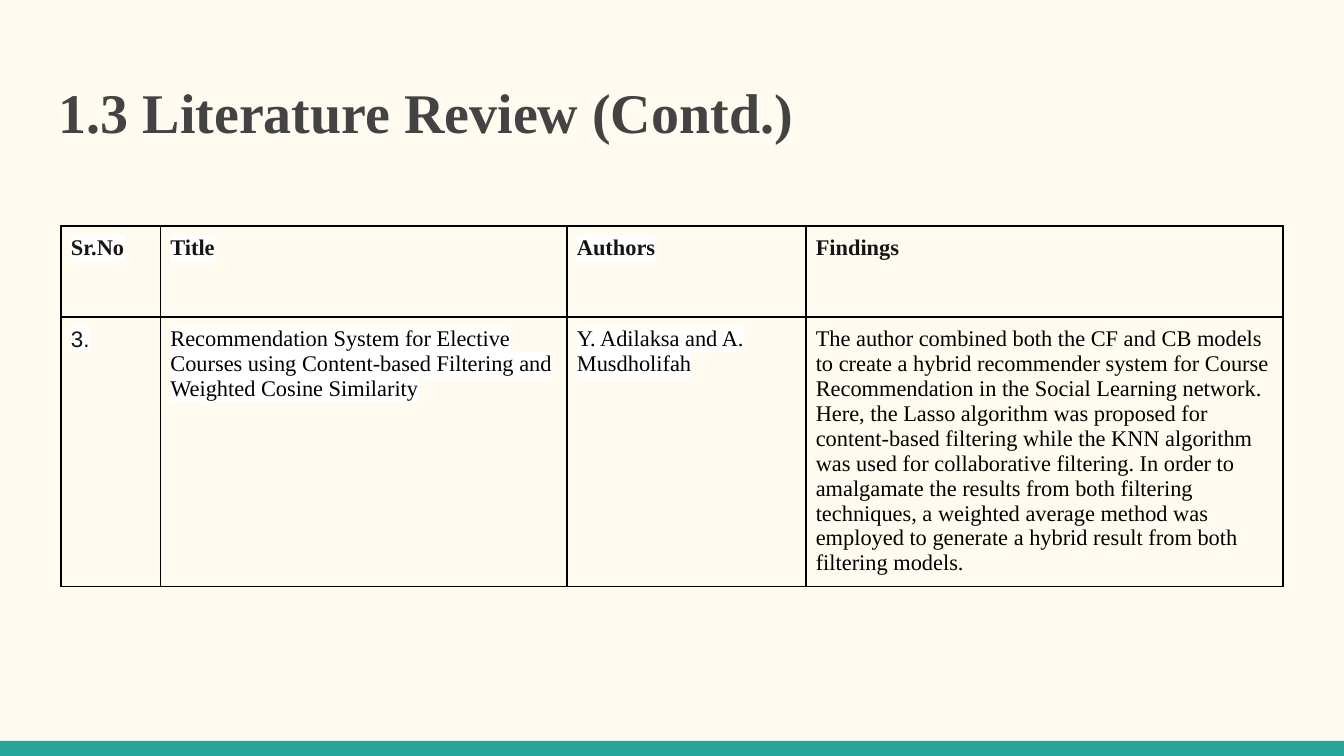
"""Build the literature review slide with its table of papers."""
from lxml import etree
from pptx import Presentation
from pptx.dml.color import RGBColor
from pptx.enum.shapes import MSO_SHAPE
from pptx.enum.text import MSO_ANCHOR
from pptx.oxml.ns import qn
from pptx.util import Pt

RECTANGLE = MSO_SHAPE.RECTANGLE
MIDDLE = MSO_ANCHOR.MIDDLE
SERIF, SANS = "Times New Roman", "Arial"
CREAM, TEAL, WHITE = "FFFBF0", "26A69A", "FFFFFF"
GREY, INK, BLACK = "434343", "161513", "000000"

WIDTH, HEIGHT, BAR_HEIGHT = 720, 405, 8
TITLE = "1.3 Literature Review (Contd.)"
TITLE_BOX = (24.5, 35.5, 671, 48)
TABLE_LEFT, TABLE_TOP = 32.6, 121
COLUMN_WIDTHS = (53.3, 217.8, 128, 255.6)
ROW_HEIGHTS = (48.8, 144.4)
CELL_INSET = 5.4

HEADINGS = ("Sr.No", "Title", "Authors", "Findings")
PAPER = (
    "3.",
    "Recommendation System for Elective Courses using Content-based Filtering "
    "and Weighted Cosine Similarity",
    "Y. Adilaksa and A. Musdholifah",
    "The author combined both the CF and CB models to create a hybrid recommender "
    "system for Course Recommendation in the Social Learning network. Here, the "
    "Lasso algorithm was proposed for content-based filtering while the KNN "
    "algorithm was used for collaborative filtering. In order to amalgamate the "
    "results from both filtering techniques, a weighted average method was employed "
    "to generate a hybrid result from both filtering models.",
)


def color(value):
    return RGBColor.from_string(value)


def write(frame, text, size=12, font=SERIF, ink=BLACK, bold=False, highlight=None):
    run = frame.paragraphs[0].add_run()
    run.text = text
    run.font.size = Pt(size)
    run.font.bold = bold
    run.font.color.rgb = color(ink)
    run.font.name = font
    if highlight:
        properties = run.font._element
        mark = etree.Element(qn("a:highlight"))
        etree.SubElement(mark, qn("a:srgbClr"), val=highlight)
        properties.find(qn("a:solidFill")).addnext(mark)


def add_borders(cell):
    properties = cell._tc.get_or_add_tcPr()
    for index, side in enumerate(("lnL", "lnR", "lnT", "lnB")):
        line = etree.Element(qn(f"a:{side}"), w=str(Pt(1)))
        fill = etree.SubElement(line, qn("a:solidFill"))
        etree.SubElement(fill, qn("a:srgbClr"), val=BLACK)
        properties.insert(index, line)


def add_title(slide):
    box = slide.shapes.add_textbox(*map(Pt, TITLE_BOX))
    frame = box.text_frame
    frame.word_wrap = True
    frame.vertical_anchor = MIDDLE
    frame.margin_left = frame.margin_right = Pt(7.2)
    frame.margin_top = frame.margin_bottom = Pt(7.2)
    write(frame, TITLE, size=30, ink=GREY, bold=True)


def add_bar(slide):
    bar = slide.shapes.add_shape(
        RECTANGLE, Pt(0), Pt(HEIGHT - BAR_HEIGHT), Pt(WIDTH), Pt(BAR_HEIGHT))
    bar.shadow.inherit = False
    bar.fill.solid()
    bar.fill.fore_color.rgb = color(TEAL)
    bar.line.fill.background()


def add_papers(slide):
    rows = (HEADINGS, PAPER)
    table = slide.shapes.add_table(
        len(rows), len(HEADINGS), Pt(TABLE_LEFT), Pt(TABLE_TOP),
        Pt(sum(COLUMN_WIDTHS)), Pt(sum(ROW_HEIGHTS))).table
    table.first_row = table.horz_banding = False
    for column, width in zip(table.columns, COLUMN_WIDTHS):
        column.width = Pt(width)
    for row, height in zip(table.rows, ROW_HEIGHTS):
        row.height = Pt(height)
    for row_index, texts in enumerate(rows):
        for column_index, text in enumerate(texts):
            cell = table.cell(row_index, column_index)
            cell.fill.background()
            cell.margin_left = cell.margin_right = Pt(CELL_INSET)
            cell.margin_top = cell.margin_bottom = Pt(CELL_INSET)
            add_borders(cell)
            heading, number = row_index == 0, column_index == 0
            write(cell.text_frame, text, bold=heading,
                  font=SANS if number and not heading else SERIF,
                  ink=INK if heading or number else BLACK,
                  highlight=None if text == texts[-1] else WHITE)


def main():
    presentation = Presentation()
    presentation.slide_width, presentation.slide_height = Pt(WIDTH), Pt(HEIGHT)
    slide = presentation.slides.add_slide(presentation.slide_layouts[6])
    slide.background.fill.solid()
    slide.background.fill.fore_color.rgb = color(CREAM)
    add_bar(slide)
    add_papers(slide)
    add_title(slide)
    presentation.save("out.pptx")


if __name__ == "__main__":
    main()
